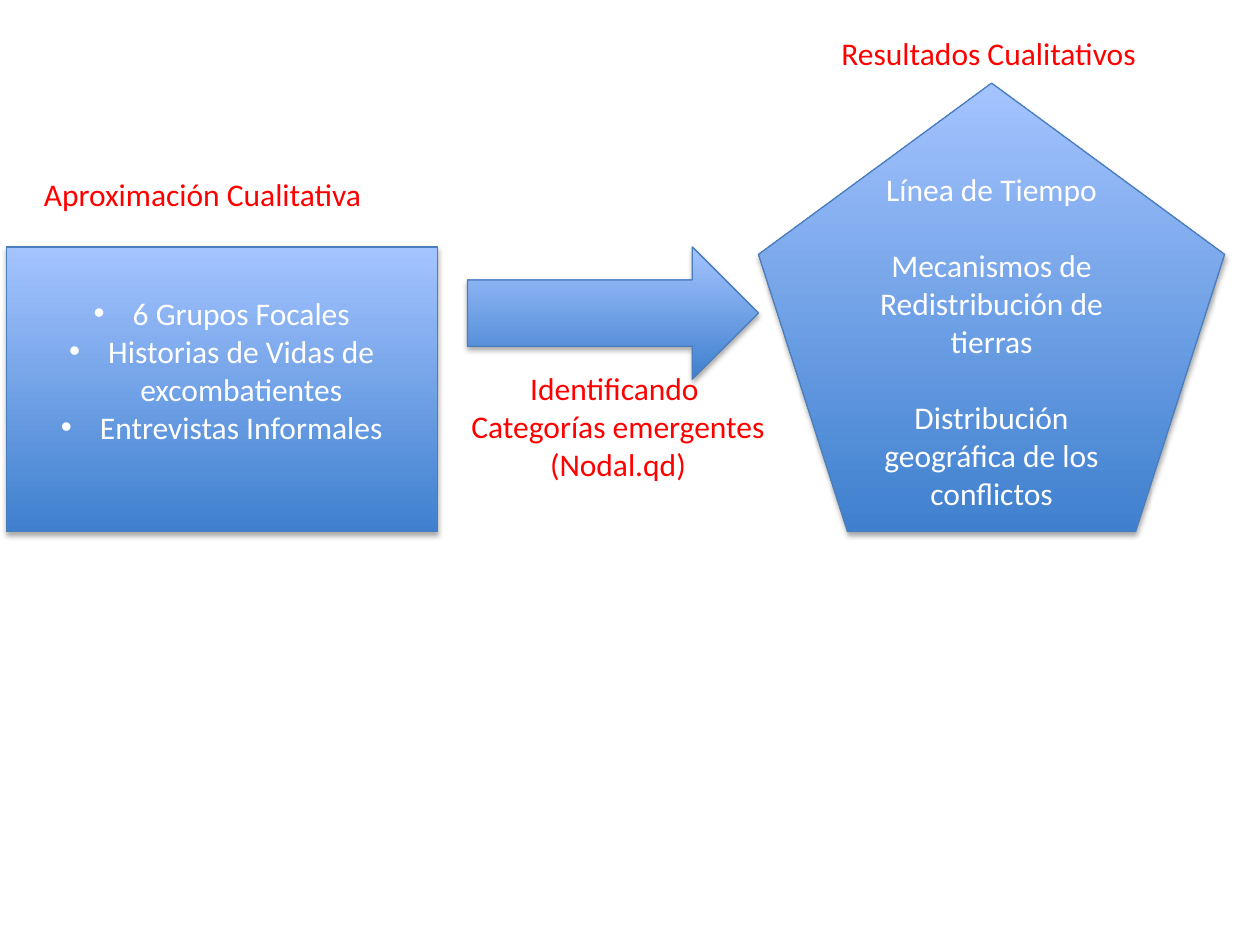
from lxml import etree
from pptx import Presentation
from pptx import util as u
from pptx.dml.color import RGBColor
from pptx.enum import shapes, text
from pptx.oxml import ns, parse_xml

RED = RGBColor(0xFF, 0x00, 0x00)
WHITE = RGBColor(0xFF, 0xFF, 0xFF)
LIGHT_BLUE = RGBColor(0xA4, 0xC4, 0xFF)
DARK_BLUE = RGBColor(0x3F, 0x80, 0xCE)
OUTLINE = RGBColor(0x4B, 0x7E, 0xBC)
CENTER = text.PP_ALIGN.CENTER
LEFT = text.PP_ALIGN.LEFT
SHADOW = (
    '<a:outerShdw %s blurRad="40000" dist="23000" dir="5400000" rotWithShape="0">'
    '<a:srgbClr val="000000"><a:alpha val="35000"/></a:srgbClr></a:outerShdw>'
) % ns.nsdecls("a")


def write(tf, lines, color=WHITE, align=CENTER, size=18, font="Calibri",
          gap=0, bullet=False):
    for i, line in enumerate(lines):
        p = tf.add_paragraph() if i else tf.paragraphs[0]
        p.alignment = align
        if i and gap:
            p.space_before = u.Pt(gap)
        if bullet:
            pPr = p._p.get_or_add_pPr()
            pPr.set("marL", str(u.Inches(0.31)))
            pPr.set("indent", str(-u.Inches(0.31)))
            etree.SubElement(pPr, ns.qn("a:buFont")).set("typeface", "Arial")
            etree.SubElement(pPr, ns.qn("a:buChar")).set("char", "•")
        r = p.add_run()
        r.text = line
        r.font.size = u.Pt(size)
        r.font.name = font
        r.font.color.rgb = color


class Diagram:
    """Draws gradient shapes and red labels on one slide."""

    def __init__(self, s):
        self.s = s

    def shape(self, kind, box, lines=(), bottom=0.05, **fmt):
        sp = self.s.shapes.add_shape(kind, *map(u.Inches, box))
        sp.fill.gradient()
        sp.fill.gradient_angle = 90
        for stop, color in zip(sp.fill.gradient_stops, (DARK_BLUE, LIGHT_BLUE)):
            stop.color.rgb = color
        sp.line.color.rgb = OUTLINE
        sp.line.width = u.Pt(0.75)
        sp.shadow.inherit = False
        effects = sp._element.spPr.find(ns.qn("a:effectLst"))
        effects.append(parse_xml(SHADOW))
        tf = sp.text_frame
        tf.word_wrap = True
        tf.vertical_anchor = text.MSO_ANCHOR.MIDDLE
        tf.margin_bottom = u.Inches(bottom)
        write(tf, lines, **fmt)

    def label(self, box, lines, align=LEFT):
        tf = self.s.shapes.add_textbox(*map(u.Inches, box)).text_frame
        tf.word_wrap = False
        tf.auto_size = text.MSO_AUTO_SIZE.SHAPE_TO_FIT_TEXT
        write(tf, lines, color=RED, align=align)


prs = Presentation()
prs.slide_width, prs.slide_height = u.Inches(10), u.Inches(7.5)
d = Diagram(prs.slides.add_slide(prs.slide_layouts[6]))
kinds = shapes.MSO_SHAPE

d.shape(kinds.RECTANGLE, (0.05, 1.96, 3.42, 2.26),
        ["6 Grupos Focales", "Historias de Vidas de excombatientes",
         "Entrevistas Informales"], bottom=0.36, bullet=True)
d.label((0.25, 1.34, 2.76, 0.4), ["Aproximación Cualitativa"])
d.shape(kinds.RIGHT_ARROW, (3.71, 1.96, 2.31, 1.05))
d.label((3.62, 2.88, 2.57, 1.01),
        ["Identificando ", "Categorías emergentes", "(Nodal.qd)"], align=CENTER)
d.shape(kinds.REGULAR_PENTAGON, (6.02, 0.66, 3.7, 3.56),
        ["Línea de Tiempo", "Mecanismos de Redistribución de tierras",
         "Distribución geográfica de los conflictos"], bottom=0.36, gap=22)
d.label((6.58, 0.22, 2.58, 0.4), ["Resultados Cualitativos"])

prs.save("out.pptx")
